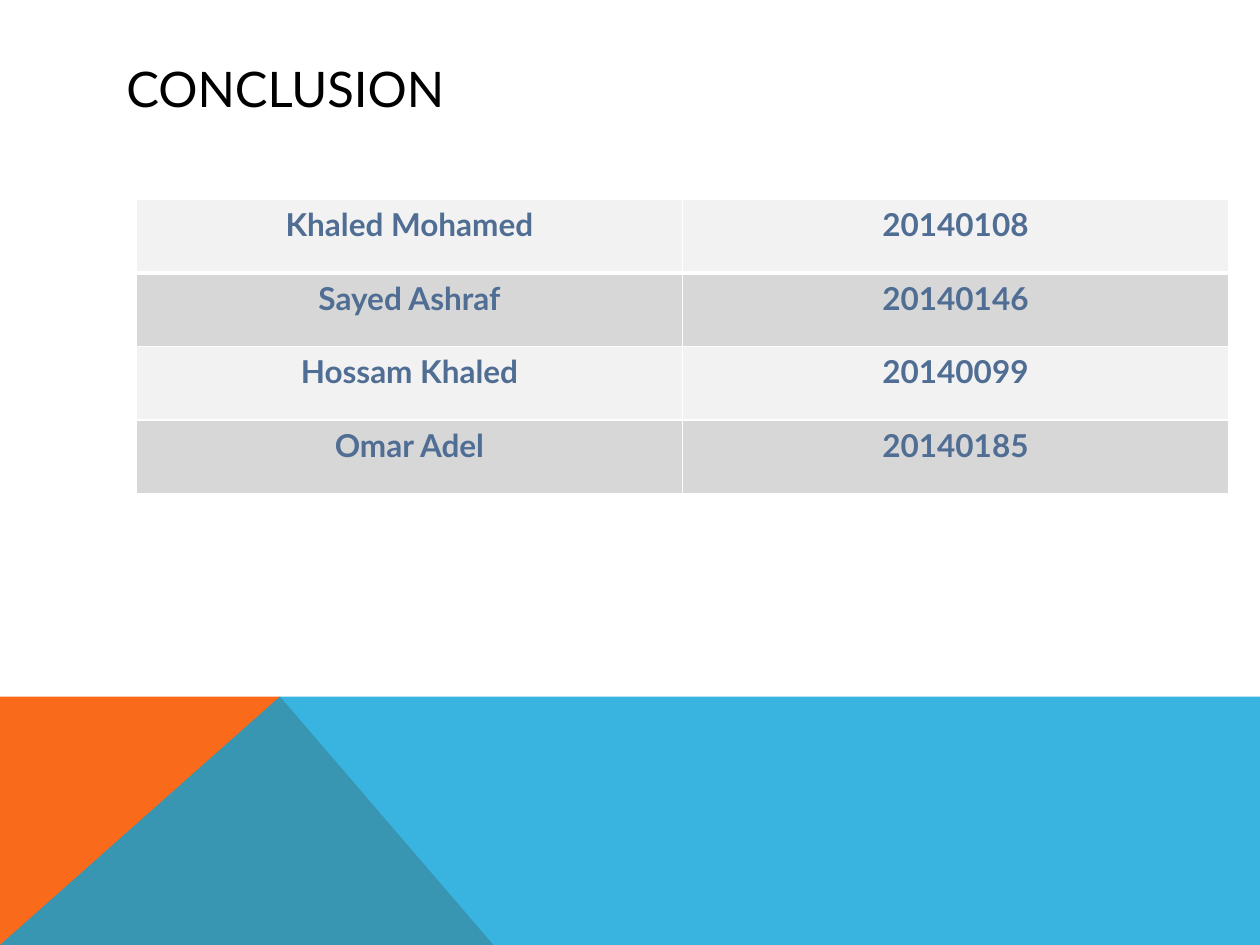
from lxml.etree import SubElement
from pptx import Presentation
from pptx.dml.color import RGBColor
from pptx.enum.text import MSO_ANCHOR, PP_ALIGN
from pptx.oxml import parse_xml
from pptx.oxml.ns import nsdecls, qn
from pptx.util import Pt

COLORS = {
    "white": "FFFFFF", "black": "000000", "orange": "F96A1B",
    "blue": "08A1D9", "text": "506E94", "light": "F2F2F2", "dark": "D7D7D8",
}
FONT = "Lato"
WIDTH, HEIGHT = 720, 540
MEMBERS = [
    ("Khaled Mohamed", "20140108"),
    ("Sayed Ashraf", "20140146"),
    ("Hossam Khaled", "20140099"),
    ("Omar Adel", "20140185"),
]


def color(name):
    """Return the named colour."""
    return RGBColor.from_string(COLORS[name])


def style(para, size, name, bold=False):
    """Set the font of a paragraph."""
    font = para.font
    font.name, font.size, font.bold = FONT, Pt(size), bold
    font.color.rgb = color(name)


def add_shape(slide, points, name, alpha=100):
    """Draw a filled outline through the points."""
    (x, y), *rest = points
    maker = slide.shapes.build_freeform(x, y, scale=Pt(1))
    maker.add_line_segments(rest, close=True)
    shape = maker.convert_to_shape()
    shape.shadow.inherit = False
    shape.line.fill.background()
    shape.fill.solid()
    shape.fill.fore_color.rgb = color(name)
    if alpha < 100:
        tint = shape.fill._xPr.find(qn("a:solidFill"))[0]
        SubElement(tint, qn("a:alpha"), val=str(alpha * 1000))


def add_band(slide, left, top, width, height):
    """Draw the orange corner and the clear blue band across it."""
    peak = (left + 160.5, top)
    right, base = left + width, top + height
    corner = [(left, base), (left, top), peak, (left + 281.5, base)]
    add_shape(slide, corner, "orange")
    add_shape(slide, [(left, base), peak, (right, top), (right, base)], "blue", 80)


def add_title(slide, text, left, top, width, height):
    """Place and format the slide title."""
    title = slide.shapes.title
    title.left, title.top = Pt(left), Pt(top)
    title.width, title.height = Pt(width), Pt(height)
    frame = title.text_frame
    frame.text = text
    frame.vertical_anchor = MSO_ANCHOR.MIDDLE
    para = frame.paragraphs[0]
    para.alignment = PP_ALIGN.LEFT
    style(para, 28, "black")


def add_edges(cell, **widths):
    """Give a cell white borders of the given widths."""
    props = cell._tc.get_or_add_tcPr()
    for i, (side, width) in enumerate(widths.items()):
        props.insert(i, parse_xml(
            f'<a:ln{side} {nsdecls("a")} w="{Pt(width)}"><a:solidFill>'
            f'<a:srgbClr val="{COLORS["white"]}"/></a:solidFill></a:ln{side}>'))


def add_members(slide, rows, left, top, width, height):
    """Draw the table of names and numbers in striped rows."""
    box = Pt(left), Pt(top), Pt(width), Pt(height)
    table = slide.shapes.add_table(len(rows), len(rows[0]), *box).table
    for i, row in enumerate(rows):
        for j, text in enumerate(row):
            cell = table.cell(i, j)
            cell.text = text
            cell.fill.solid()
            cell.fill.fore_color.rgb = color("dark" if i % 2 else "light")
            add_edges(cell, L=1, R=1, T=3 if i == 1 else 1, B=1 if i else 3)
            para = cell.text_frame.paragraphs[0]
            para.alignment = PP_ALIGN.CENTER
            style(para, 18, "text", bold=True)


def main():
    """Build and save the slide."""
    deck = Presentation()
    deck.slide_width, deck.slide_height = Pt(WIDTH), Pt(HEIGHT)
    slide = deck.slides.add_slide(deck.slide_layouts[5])
    slide.background.fill.solid()
    slide.background.fill.fore_color.rgb = color("white")
    add_band(slide, 0, 397.5, WIDTH, 142.5)
    add_title(slide, "CONCLUSION", 65, 29, 592, 43)
    add_members(slide, MEMBERS, 78, 114, 624, 168)
    deck.save("out.pptx")


main()
